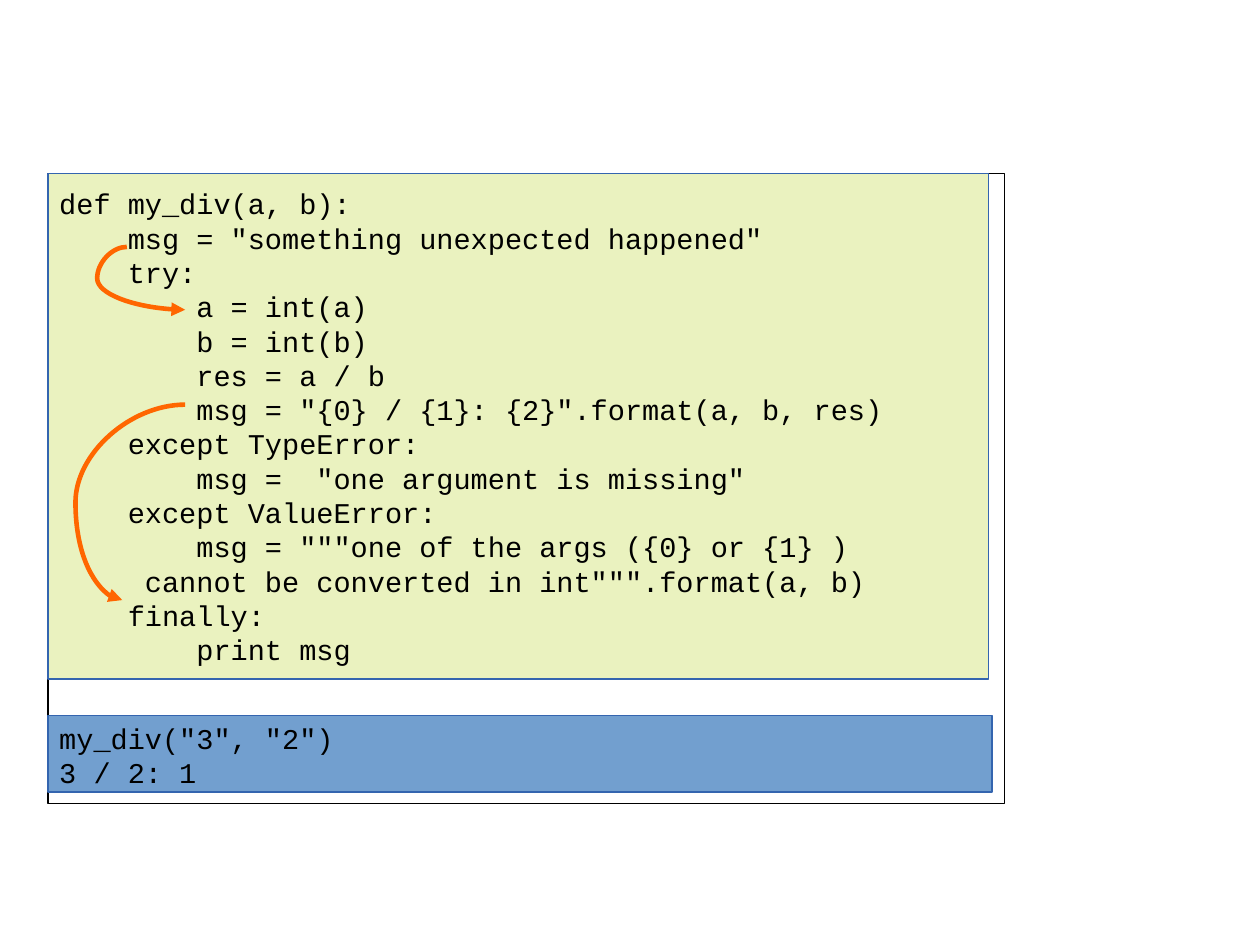
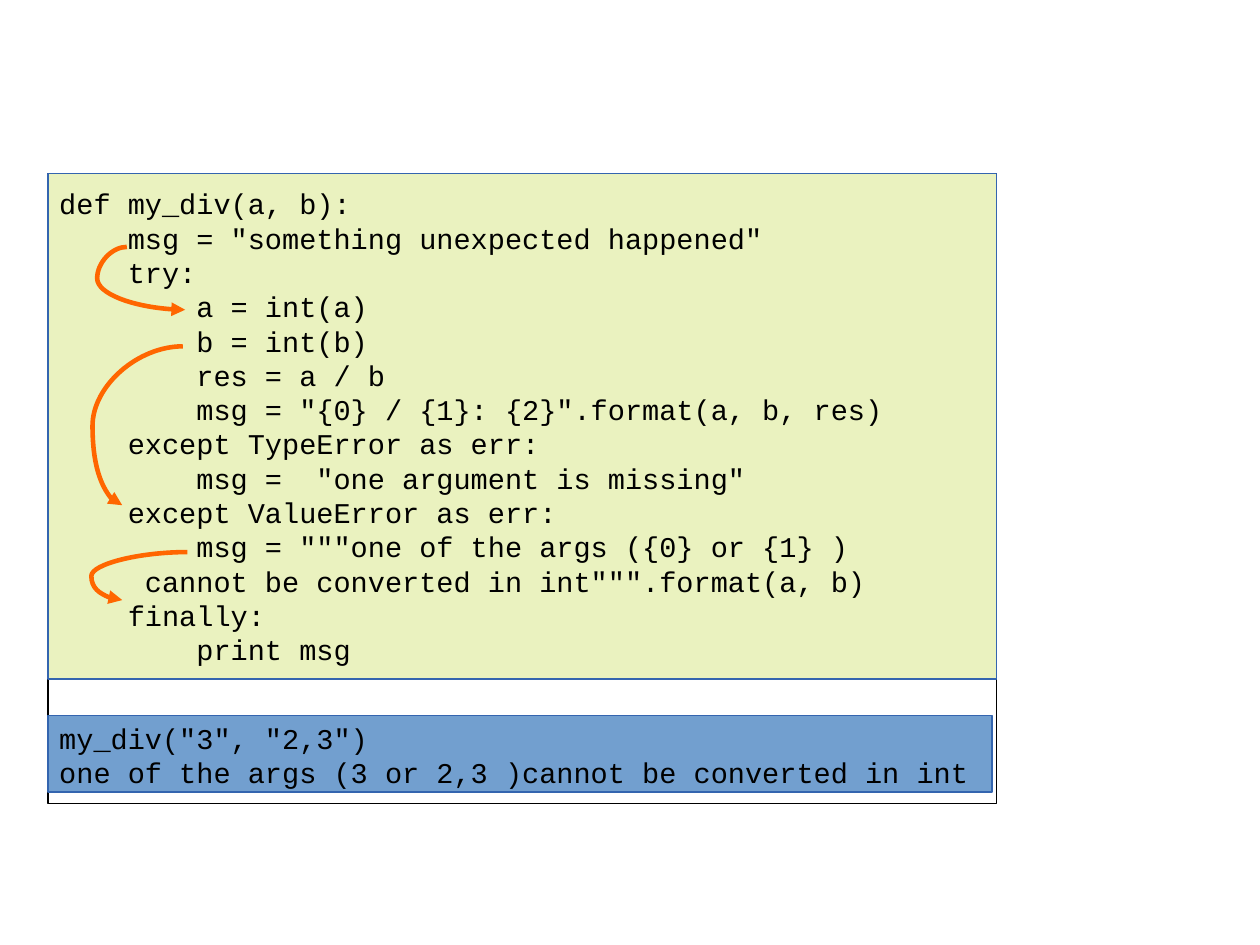
"""Build two slides tracing the control flow of a try/except/finally function."""
from dataclasses import dataclass

import pptx
import pptx.dml.color
import pptx.enum.shapes
import pptx.enum.text
import pptx.oxml
import pptx.oxml.ns
import pptx.util
from pptx.util import Inches

COLORS = {
    "text": "000000",
    "frame": "000000",
    "code": "AECF00",
    "result": "729FCF",
    "border": "3465AF",
    "flow": "FF6600",
}
CM_PER_INCH = 2.54
SLIDE_WIDTH, SLIDE_HEIGHT = 28 / CM_PER_INCH, 21 / CM_PER_INCH
CODE_FONT = "Courier New"
LEFT, TOP = 0.42, 1.52
FRAME_HEIGHT, CODE_HEIGHT = 5.51, 4.42
RESULT_TOP, RESULT_WIDTH, RESULT_HEIGHT = 6.26, 8.26, 0.67
BLANK_LAYOUT = 6

CODE = '''def my_div(a, b):
    msg = "something unexpected happened"
    try:
        a = int(a)
        b = int(b)
        res = a / b
        msg = "{0} / {1}: {2}".format(a, b, res)
    except TypeError:
        msg =  "one argument is missing"
    except ValueError:
        msg = """one of the args ({0} or {1} )
     cannot be converted in int""".format(a, b)
    finally:
        print msg'''


@dataclass(frozen=True)
class Jump:
    start: tuple[float, float]
    end: tuple[float, float]
    bend_x: float


@dataclass(frozen=True)
class Example:
    code: str
    result: str
    frame_width: float
    code_width: float
    jumps: tuple[Jump, ...]


ENTER_TRY = Jump((1.11, 2.16), (1.62, 2.71), 0.85)
EXAMPLES = (
    Example(
        CODE,
        'my_div("3", "2")\n3 / 2: 1',
        8.37,
        8.23,
        (Jump((1.62, 3.54), (1.07, 5.25), 0.66), ENTER_TRY),
    ),
    Example(
        CODE.replace("Error:", "Error as err:"),
        'my_div("3", "2,3")\n'
        "one of the args (3 or 2,3 )cannot be converted in int",
        8.3,
        8.3,
        (
            Jump((1.6, 3.03), (1.07, 4.42), 0.81),
            ENTER_TRY,
            Jump((1.64, 4.83), (1.07, 5.25), 0.8),
        ),
    ),
)


def rgb(name: str) -> pptx.dml.color.RGBColor:
    return pptx.dml.color.RGBColor.from_string(COLORS[name])


def element(tag: str, attributes: str = ""):
    namespace = pptx.oxml.ns.nsdecls("a")
    return pptx.oxml.parse_xml(f"<a:{tag} {namespace} {attributes}/>")


def add_panel(slide, top: float, width: float, height: float, *,
              border: str, fill: str | None = None, opacity: int = 100):
    panel = slide.shapes.add_shape(
        pptx.enum.shapes.MSO_SHAPE.RECTANGLE,
        Inches(LEFT), Inches(top), Inches(width), Inches(height))
    panel.shadow.inherit = False
    panel.line.color.rgb = rgb(border)
    panel.line.width = pptx.util.Pt(0)
    if fill is None:
        panel.fill.background()
        return panel
    panel.fill.solid()
    panel.fill.fore_color.rgb = rgb(fill)
    if opacity < 100:
        color = panel._element.spPr.find(".//" + pptx.oxml.ns.qn("a:srgbClr"))
        color.append(element("alpha", f'val="{opacity * 1000}"'))
    return panel


def write_text(panel, text: str, *, size: float = 18, font: str = CODE_FONT,
               color: str = "text",
               anchor=pptx.enum.text.MSO_ANCHOR.TOP) -> None:
    frame = panel.text_frame
    frame.word_wrap = True
    frame.vertical_anchor = anchor
    frame.text = text
    for paragraph in frame.paragraphs:
        paragraph.alignment = pptx.enum.text.PP_ALIGN.LEFT
        paragraph.font.size = pptx.util.Pt(size)
        paragraph.font.name = font
        paragraph.font.color.rgb = rgb(color)


def add_jump(slide, jump: Jump) -> None:
    (start_x, start_y), (end_x, end_y) = jump.start, jump.end
    arrow = slide.shapes.add_connector(
        pptx.enum.shapes.MSO_CONNECTOR.CURVE,
        Inches(start_x), Inches(start_y), Inches(end_x), Inches(end_y))
    arrow.line.color.rgb = rgb("flow")
    arrow.line.width = pptx.util.Pt(2.89)
    properties = arrow._element.spPr
    bend = round((jump.bend_x - start_x) / (end_x - start_x) * 100000)
    properties.prstGeom.get_or_add_avLst().append(
        element("gd", f'name="adj1" fmla="val {bend}"'))
    properties.find(pptx.oxml.ns.qn("a:ln")).append(
        element("tailEnd", 'type="triangle"'))
    properties.append(element("effectLst"))


def add_example(deck, example: Example) -> None:
    slide = deck.slides.add_slide(deck.slide_layouts[BLANK_LAYOUT])
    add_panel(slide, TOP, example.frame_width, FRAME_HEIGHT, border="frame")
    code = add_panel(slide, TOP, example.code_width, CODE_HEIGHT,
                     border="border", fill="code", opacity=25)
    write_text(code, example.code, anchor=pptx.enum.text.MSO_ANCHOR.MIDDLE)
    result = add_panel(slide, RESULT_TOP, RESULT_WIDTH, RESULT_HEIGHT,
                       border="border", fill="result")
    write_text(result, example.result)
    for jump in example.jumps:
        add_jump(slide, jump)


def main() -> None:
    deck = pptx.Presentation()
    deck.slide_width = Inches(SLIDE_WIDTH)
    deck.slide_height = Inches(SLIDE_HEIGHT)
    for example in EXAMPLES:
        add_example(deck, example)
    deck.save("out.pptx")


if __name__ == "__main__":
    main()
